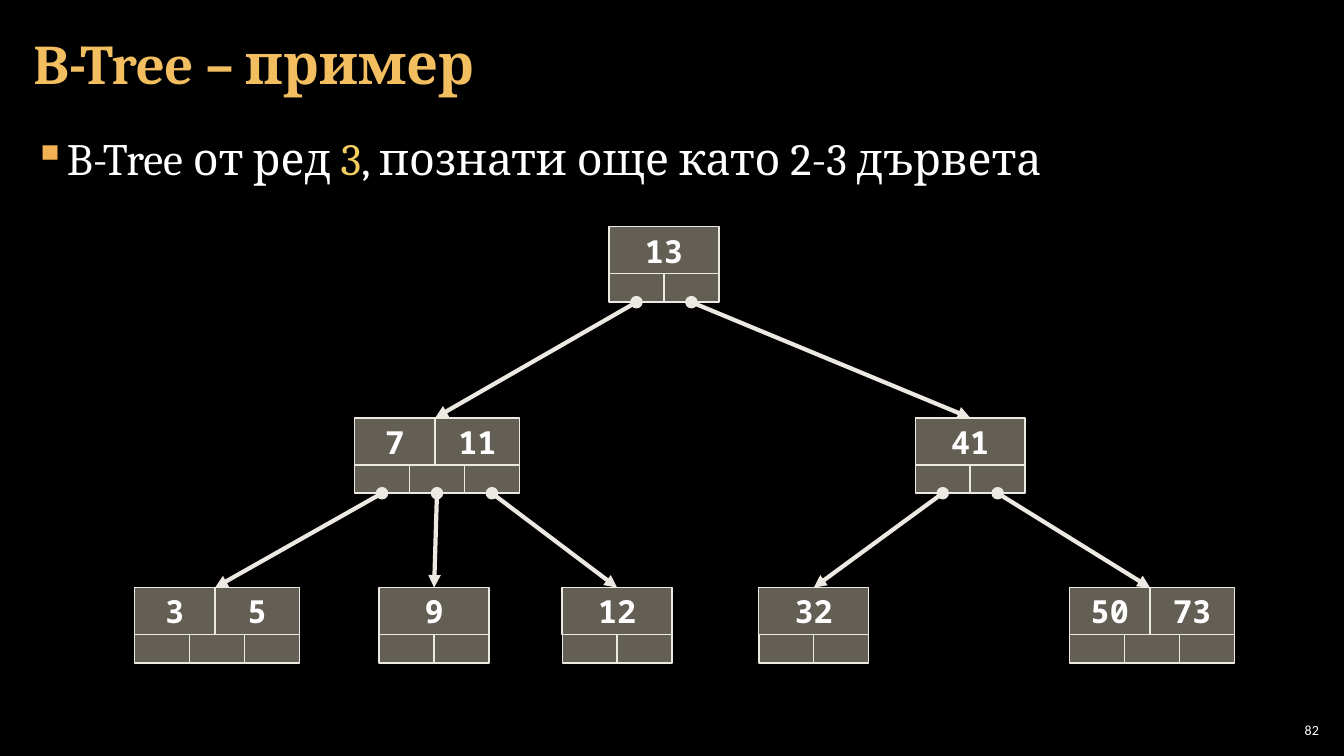
from lxml import etree
from pptx import Presentation
from pptx.dml.color import RGBColor
from pptx.enum.shapes import MSO_CONNECTOR, MSO_SHAPE
from pptx.enum.text import MSO_ANCHOR, PP_ALIGN
from pptx.oxml.ns import qn
from pptx.util import Inches, Pt

RECTANGLE = MSO_SHAPE.RECTANGLE
STRAIGHT = MSO_CONNECTOR.STRAIGHT
TOP, MIDDLE = MSO_ANCHOR.TOP, MSO_ANCHOR.MIDDLE
LEFT, CENTER, RIGHT = PP_ALIGN.LEFT, PP_ALIGN.CENTER, PP_ALIGN.RIGHT

COLORS = {
    "background": "000000",
    "title": "F3BE60",
    "bullet": "F2B254",
    "accent": "F3CC5F",
    "text": "FFFFFF",
    "cell": "C6BEAB",
    "line": "ECE9E2",
}
SERIF, SANS, MONO = "Cambria", "Calibri", "Noto Sans Mono"

POINTER_WIDTH, POINTER_HEIGHT = 4.09, 3.75
KEY_HEIGHT = 6.22
KEY_WIDTHS = {1: [8.18], 2: [6, 6.27]}
LEVELS = [30, 55.27, 77.73]

NODES = {
    "root": (45.31, 0, ["13"]),
    "left": (26.38, 1, ["7", "11"]),
    "right": (68.1, 1, ["41"]),
    "low": (10, 2, ["3", "5"]),
    "nine": (28.21, 2, ["9"]),
    "twelve": (41.83, 2, ["12"]),
    "thirties": (56.46, 2, ["32"]),
    "high": (79.57, 2, ["50", "73"]),
}
CHILDREN = {
    "root": ["left", "right"],
    "left": ["low", "nine", "twelve"],
    "right": ["thirties", "high"],
}


class TreeSlide:
    """Draws on one slide, with lengths in percent of its width and height."""

    def __init__(self, deck):
        self.width, self.height = deck.slide_width, deck.slide_height
        self.page = deck.slides.add_slide(deck.slide_layouts[6])
        self.paint(self.page.background.fill, "background")

    def across(self, share):
        return round(self.width * share / 100)

    def down(self, share):
        return round(self.height * share / 100)

    def frame(self, left, top, width, height):
        return self.across(left), self.down(top), self.across(width), self.down(height)

    def paint(self, fill, color):
        fill.solid()
        fill.fore_color.rgb = RGBColor.from_string(COLORS[color])

    def add_spans(self, para, spans, font, size, bold=False):
        for text, color in spans:
            span = para.add_run()
            span.text = text
            span.font.name, span.font.size, span.font.bold = font, Pt(size), bold
            span.font.color.rgb = RGBColor.from_string(COLORS[color])

    def text(self, area, spans, font, size, bold=False, anchor=MIDDLE, align=LEFT, side=0.12):
        box = self.page.shapes.add_textbox(*self.frame(*area)).text_frame
        box.word_wrap = True
        box.vertical_anchor = anchor
        box.margin_left = box.margin_right = Inches(side)
        box.margin_top = box.margin_bottom = Inches(0.04)
        para = box.paragraphs[0]
        para.alignment = align
        self.add_spans(para, spans, font, size, bold)
        return para

    def bullet(self, para, indent):
        properties = para._p.get_or_add_pPr()
        properties.set("marL", str(Inches(indent)))
        properties.set("indent", str(-Inches(indent)))
        color = etree.SubElement(properties, qn("a:buClr"))
        etree.SubElement(color, qn("a:srgbClr"), val=COLORS["bullet"])
        etree.SubElement(properties, qn("a:buChar"), char="▪")

    def cell(self, left, top, width, height, key=None):
        box = self.page.shapes.add_shape(RECTANGLE, *self.frame(left, top, width, height))
        box.shadow.inherit = False
        self.paint(box.fill, "cell")
        tint = box._element.spPr.find(qn("a:solidFill")).find(qn("a:srgbClr"))
        etree.SubElement(tint, qn("a:alpha"), val="50000")
        self.paint(box.line.fill, "line")
        box.line.width = Pt(1)
        if key:
            box.text_frame.vertical_anchor = MIDDLE
            para = box.text_frame.paragraphs[0]
            para.alignment = CENTER
            self.add_spans(para, [(key, "text")], MONO, 22.7, True)

    def node(self, left, level, keys):
        top = LEVELS[level]
        key_left = left
        for key, width in zip(keys, KEY_WIDTHS[len(keys)]):
            self.cell(key_left, top, width, KEY_HEIGHT, key)
            key_left += width
        for index in range(len(keys) + 1):
            self.cell(left + index * POINTER_WIDTH, top + KEY_HEIGHT, POINTER_WIDTH, POINTER_HEIGHT)

    def arrow(self, parent, index, child):
        left, level, _ = NODES[parent]
        child_left, child_level, keys = NODES[child]
        middle = KEY_WIDTHS[len(keys)][0] / (1 if len(keys) == 2 else 2)
        link = self.page.shapes.add_connector(
            STRAIGHT,
            self.across(left + (index + 0.5) * POINTER_WIDTH),
            self.down(LEVELS[level] + KEY_HEIGHT + POINTER_HEIGHT),
            self.across(child_left + middle),
            self.down(LEVELS[child_level]),
        )
        self.paint(link.line.fill, "line")
        link.line.width = Pt(3)
        properties = link._element.spPr
        outline = properties.find(qn("a:ln"))
        etree.SubElement(outline, qn("a:headEnd"), type="oval")
        etree.SubElement(outline, qn("a:tailEnd"), type="triangle")
        etree.SubElement(properties, qn("a:effectLst"))


def main():
    deck = Presentation()
    deck.slide_width, deck.slide_height = Inches(13.33), Inches(7.5)
    slide = TreeSlide(deck)

    title = slide.text((1.58, 0.67, 78.5, 16.13), [("B-Tree – пример", "title")], SERIF, 40, True)
    title.line_spacing = 0.9
    spans = [
        ("B-Tree от ред ", "text"),
        ("3", "accent"),
        (", познати още като 2-3 дървета", "text"),
    ]
    body = slide.text((1.58, 16.8, 96.85, 81.2), spans, SERIF, 32, anchor=TOP)
    slide.bullet(body, 0.33)

    for node in NODES.values():
        slide.node(*node)
    for parent, children in CHILDREN.items():
        for index, child in enumerate(children):
            slide.arrow(parent, index, child)

    slide.text((94.9, 95.2, 3.53, 2.8), [("82", "text")], SANS, 10, align=RIGHT, side=0.04)
    deck.save("out.pptx")


if __name__ == "__main__":
    main()
